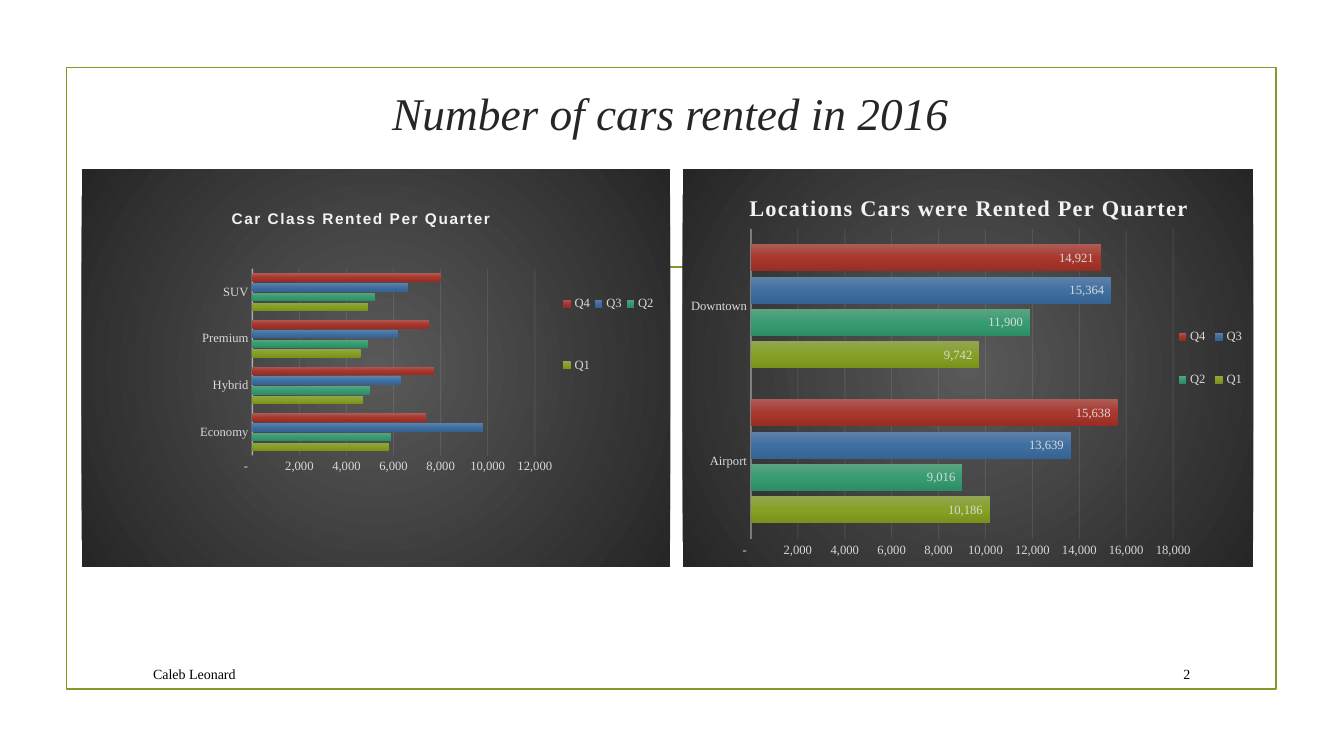
from dataclasses import dataclass

from lxml import etree
from pptx import Presentation
from pptx import util as u
from pptx.chart import data as cd
from pptx.dml.color import RGBColor
from pptx.enum import chart as ch
from pptx.enum import shapes, text
from pptx.oxml import ns


@dataclass(frozen=True)
class Theme:
    font: str = "Times New Roman"
    sans: str = "Arial"
    green: str = "83992A"
    ink: str = "262626"
    black: str = "000000"
    pale: str = "F2F2F2"
    soft: str = "D9D9D9"
    back: tuple = ("595959", "262626")
    bars: tuple = (
        ("92A652", "869F24", "7A921B"),
        ("5BA481", "379C71", "2D8E65"),
        ("6081A9", "4070A1", "356393"),
        ("AE5B56", "A8372D", "9A2D23"),
    )
    head: float = 32.4
    foot: float = 10
    small: float = 9
    rule: float = 1.25


THEME = Theme()
COUNT = r'_(* #,##0_);_(* \(#,##0\);_(* "-"??_);_('


def sub(node, tag, **attrs):
    kid = etree.SubElement(node, ns.qn(tag))
    for key, val in attrs.items():
        kid.set(key, str(val))
    return kid


def style(font, size, color, name=THEME.font, **looks):
    font.size, font.name = u.Pt(size), name
    font.color.rgb = RGBColor.from_string(color)
    for key, val in looks.items():
        setattr(font, key, val)


def draw(line, color, width, alpha=100):
    line.width = u.Pt(width)
    line.color.rgb = RGBColor.from_string(color)
    if alpha < 100:
        tint = line.fill._xPr.find(".//" + ns.qn("a:srgbClr"))
        sub(tint, "a:alpha", val=alpha * 1000)


def blend(props, colors, round=False):
    """Fill with evenly spaced colours, downward or out from the centre."""
    grad = sub(props, "a:gradFill", rotWithShape=1)
    stops = sub(grad, "a:gsLst")
    for i, color in enumerate(colors):
        stop = sub(stops, "a:gs", pos=100000 * i // (len(colors) - 1))
        sub(stop, "a:srgbClr", val=color)
    if round:
        ring = sub(grad, "a:path", path="circle")
        sub(ring, "a:fillToRect", l=50000, t=50000, r=50000, b=50000)
    else:
        sub(grad, "a:lin", ang=5400000, scaled=0)


def place(part, index, x, y, w=None, h=None, inner=False):
    """Set a chart part's place, in shares of the chart's size."""
    for old in part.findall(ns.qn("c:layout")):
        part.remove(old)
    layout = etree.Element(ns.qn("c:layout"))
    part.insert(index, layout)
    man = sub(layout, "c:manualLayout")
    if inner:
        sub(man, "c:layoutTarget", val="inner")
    sub(man, "c:xMode", val="edge")
    sub(man, "c:yMode", val="edge")
    for key, val in zip("xywh", (x, y, w, h)):
        if val is not None:
            sub(man, "c:" + key, val=val)


def add_frame(slide):
    box = slide.shapes.add_shape(shapes.MSO_SHAPE.RECTANGLE, u.Cm(1.68),
                                 u.Cm(1.7), u.Cm(30.48), u.Cm(15.67))
    box.shadow.inherit = False
    box.fill.background()
    draw(box.line, THEME.green, THEME.rule)


def add_rule(slide):
    rule = slide.shapes.add_connector(shapes.MSO_CONNECTOR.STRAIGHT, u.Cm(3.89),
                                      u.Cm(6.73), u.Cm(30), u.Cm(6.73))
    draw(rule.line, THEME.green, THEME.rule)
    sub(rule._element.spPr, "a:effectLst")


def set_title(slide, words):
    title = slide.shapes.title
    title.left, title.top = u.Cm(1.63), u.Cm(2.01)
    title.width, title.height = u.Cm(30.53), u.Cm(1.63)
    frame = title.text_frame
    frame.text = words
    frame.vertical_anchor = text.MSO_ANCHOR.BOTTOM
    para = frame.paragraphs[0]
    para.alignment = text.PP_ALIGN.CENTER
    style(para.runs[0].font, THEME.head, THEME.ink, italic=True)


def add_note(slide, words, left, width, align):
    box = slide.shapes.add_textbox(u.Cm(left), u.Cm(16.59), u.Cm(width), u.Cm(0.79))
    frame = box.text_frame
    frame.word_wrap = True
    frame.vertical_anchor = text.MSO_ANCHOR.MIDDLE
    frame.text = words
    para = frame.paragraphs[0]
    para.alignment = align
    style(para.runs[0].font, THEME.foot, THEME.black)


def set_axes(chart, top):
    cats, vals = chart.category_axis, chart.value_axis
    for axis in (cats, vals):
        axis.major_tick_mark = axis.minor_tick_mark = ch.XL_TICK_MARK.NONE
        style(axis.tick_labels.font, THEME.small, THEME.soft)
    draw(cats.format.line, THEME.pale, 1, 54)
    vals.format.line.fill.background()
    vals.minimum_scale, vals.maximum_scale, vals.major_unit = 0, top, 2000
    vals.tick_labels.number_format = COUNT
    vals.tick_labels.number_format_is_linked = False
    draw(vals.major_gridlines.format.line, THEME.pale, 0.75, 10)


def set_bars(chart, show):
    plot = chart.plots[0]
    plot.gap_width, plot.overlap, plot.vary_by_categories = 115, -20, False
    for bar, colors in zip(plot.series, THEME.bars):
        blend(bar._element.get_or_add_spPr(), colors)
        if show:
            tags = bar.data_labels
            tags.show_value = True
            tags.position = ch.XL_LABEL_POSITION.INSIDE_END
            tags.number_format, tags.number_format_is_linked = COUNT, False
            style(tags.font, THEME.small, THEME.soft)


def add_bars(slide, left, width, title, size, face, cats, rows, top,
             spots, show=False):
    """Add a dark bar chart; spots hold the title, plot and legend places."""
    data = cd.CategoryChartData(number_format=COUNT)
    data.categories = cats
    for i, row in enumerate(rows, 1):
        data.add_series(f"Q{i}", row)
    chart = slide.shapes.add_chart(ch.XL_CHART_TYPE.BAR_CLUSTERED, u.Cm(left),
                                   u.Cm(4.27), u.Cm(width), u.Cm(10.01), data).chart
    style(chart.font, THEME.foot, THEME.black)
    root = chart._chartSpace
    props = etree.Element(ns.qn("c:spPr"))
    root.find(ns.qn("c:chart")).addnext(props)
    blend(props, THEME.back, round=True)
    sub(sub(props, "a:ln"), "a:noFill")

    chart.has_title = True
    frame = chart.chart_title.text_frame
    frame.text = title
    run = frame.paragraphs[0].runs[0]
    style(run.font, size, THEME.pale, face, bold=True)
    run.font._element.set("spc", "100")
    set_axes(chart, top)
    set_bars(chart, show)

    chart.has_legend = True
    chart.legend.position = ch.XL_LEGEND_POSITION.RIGHT
    chart.legend.include_in_layout = False
    style(chart.legend.font, THEME.small, THEME.soft)
    head, plot, key = spots
    place(chart.chart_title._element, 1, *head)
    place(root.find(".//" + ns.qn("c:plotArea")), 0, *plot, inner=True)
    place(chart.legend._element, 1, *key)


def main():
    deck = Presentation()
    deck.slide_width, deck.slide_height = u.Cm(33.87), u.Cm(19.05)
    slide = deck.slides.add_slide(deck.slide_layouts[5])
    add_frame(slide)
    add_rule(slide)
    set_title(slide, "Number of cars rented in 2016")
    add_note(slide, "Caleb Leonard", 3.61, 20.29, text.PP_ALIGN.LEFT)
    add_note(slide, "2", 28.75, 1.5, text.PP_ALIGN.RIGHT)
    add_bars(slide, 2.06, 14.83, "Car Class Rented Per Quarter", 11, THEME.sans,
             ("Economy", "Hybrid", "Premium", "SUV"),
             ((5800, 4700, 4600, 4900), (5900, 5000, 4900, 5200),
              (9800, 6300, 6200, 6600), (7400, 7700, 7500, 8000)), 12000,
             ((0.25, 0.09), (0.29, 0.25, 0.48, 0.47), (0.81, 0.2, 0.17, 0.43)))
    add_bars(slide, 17.2, 14.38, "Locations Cars were Rented Per Quarter", 16,
             THEME.font, ("Airport", "Downtown"),
             ((10186, 9742), (9016, 11900), (13639, 15364), (15638, 14921)), 18000,
             ((0.11, 0.05), (0.12, 0.15, 0.74, 0.78), (0.86, 0.33, 0.13, 0.29)),
             show=True)
    deck.save("out.pptx")


if __name__ == "__main__":
    main()
